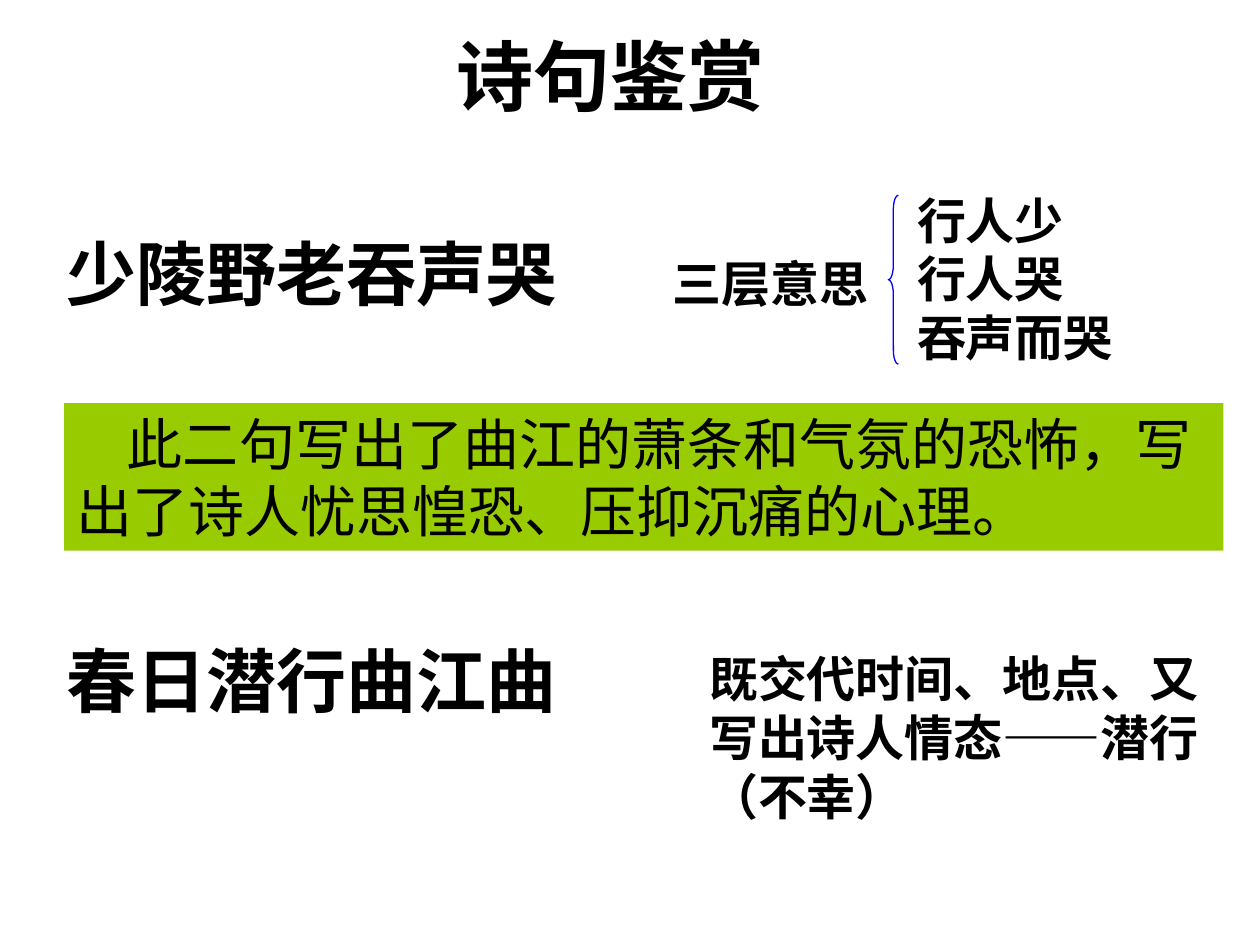
"""Build a slide that analyses two lines of a classical Chinese poem."""
from pptx import Presentation
from pptx.dml.color import RGBColor
from pptx.enum.shapes import MSO_SHAPE
from pptx.enum.text import MSO_ANCHOR, PP_ALIGN
from pptx.util import Inches, Pt

BLACK = RGBColor(0x00, 0x00, 0x00)
BLUE = RGBColor(0x00, 0x00, 0xFF)
GREEN = RGBColor(0x99, 0xCC, 0x00)
LEFT_BRACE = MSO_SHAPE.LEFT_BRACE
RECTANGLE = MSO_SHAPE.RECTANGLE
TOP = MSO_ANCHOR.TOP
MIDDLE = MSO_ANCHOR.MIDDLE
LEFT = PP_ALIGN.LEFT
CENTER = PP_ALIGN.CENTER


def write_lines(shape, lines, size, font_name, bold=True, align=LEFT, anchor=TOP, wrap=True):
    frame = shape.text_frame
    frame.word_wrap = wrap
    frame.vertical_anchor = anchor
    for index, line in enumerate(lines):
        paragraph = frame.add_paragraph() if index else frame.paragraphs[0]
        paragraph.alignment = align
        run = paragraph.add_run()
        run.text = line
        run.font.name = font_name
        run.font.size = Pt(size)
        run.font.bold = bold
        run.font.color.rgb = BLACK


presentation = Presentation()
presentation.slide_width = Inches(10)
presentation.slide_height = Inches(7.5)
slide = presentation.slides.add_slide(presentation.slide_layouts[5])

title = slide.shapes.title
title.left, title.top = Inches(0.35), Inches(-0.03)
title.width, title.height = Inches(9), Inches(1.25)
write_lines(title, ["诗句鉴赏"], 44, "Calibri", align=CENTER, anchor=MIDDLE)

text_boxes = [
    (0.43, 1.78, 4.17, 0.94, ["少陵野老吞声哭"], 40, "Arial", True),
    (0.43, 5.01, 4.8, 0.94, ["春日潜行曲江曲"], 40, "Arial", True),
    (5.24, 1.96, 1.76, 0.57, ["三层意思"], 28, "Calibri", False),
    (7.18, 1.46, 1.76, 1.5, ["行人少", "行人哭", "吞声而哭"], 28, "Calibri", False),
    (5.53, 5.1, 4.2, 1.5, ["既交代时间、地点、又写出诗人情态——潜行（不幸）"], 28, "Calibri", True),
]
for left, top, width, height, lines, size, font_name, wrap in text_boxes:
    text_box = slide.shapes.add_textbox(Inches(left), Inches(top), Inches(width), Inches(height))
    write_lines(text_box, lines, size, font_name, wrap=wrap)

brace = slide.shapes.add_shape(LEFT_BRACE, Inches(7.05), Inches(1.55), Inches(0.08), Inches(1.34))
brace.shadow.inherit = False
brace.adjustments[0] = 1.4
brace.fill.background()
brace.line.color.rgb = BLUE
brace.line.width = Pt(0.75)

summary = slide.shapes.add_shape(RECTANGLE, Inches(0.51), Inches(3.2), Inches(9.2), Inches(1.17))
summary.shadow.inherit = False
summary.fill.solid()
summary.fill.fore_color.rgb = GREEN
summary.line.fill.background()
write_lines(summary, ["此二句写出了曲江的萧条和气氛的恐怖，写出了诗人忧思惶恐、压抑沉痛的心理。"],
            32, "Noto Sans CJK SC", bold=False)
summary_properties = summary.text_frame.paragraphs[0]._p.get_or_add_pPr()
summary_properties.set("indent", str(Inches(0.4)))

presentation.save("out.pptx")
